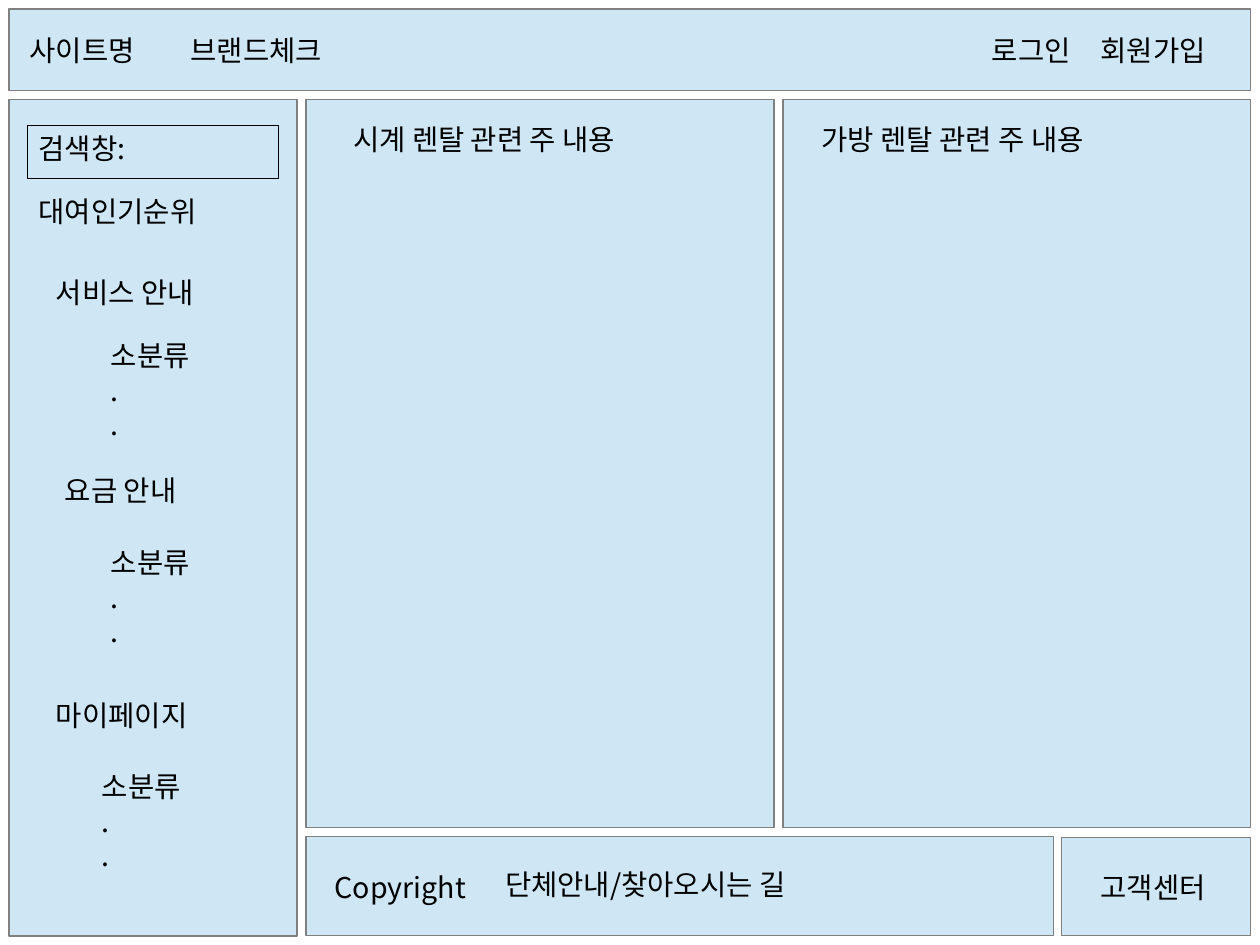
"""Build the wireframe slide of a rental site."""
from dataclasses import dataclass

from lxml.etree import SubElement
from pptx import Presentation
from pptx.dml.color import RGBColor
from pptx.enum.shapes import MSO_SHAPE as SHAPE
from pptx.enum.text import MSO_ANCHOR, MSO_AUTO_SIZE, PP_ALIGN
from pptx.oxml.ns import qn
from pptx.util import Inches, Pt

SITE_NAME = ("사이트명", 0.16, 0.24, 1.57)
SEARCH = ("검색창:", 0.24, 1.1, 2.2)
LABELS = [
    ("브랜드체크", 1.57, 0.24, 1.5),
    ("로그인", 8.58, 0.24, 1.02),
    ("회원가입", 9.53, 0.24, 1.26),
    ("대여인기순위", 0.24, 1.65, 2.2),
    ("서비스 안내", 0.39, 2.36, 1.81),
    ("요금 안내", 0.47, 4.09, 1.34),
    ("마이페이지", 0.39, 6.06, 1.81),
    ("시계 렌탈 관련 주 내용", 2.99, 1.02, 3.62),
    ("가방 렌탈 관련 주 내용", 7.09, 1.02, 3.62),
    ("Copyright", 2.83, 7.56, 1.89),
    ("단체안내/찾아오시는 길", 4.32, 7.54, 2.91),
    ("고객센터", 9.53, 7.56, 1.34),
]
SUBMENU = ["소분류", ".", "."]
SUBMENU_SPOTS = [(0.87, 2.91), (0.87, 4.72), (0.79, 6.68)]
SUBMENU_W, SUBMENU_H, LABEL_H = 1.26, 1.14, 0.46

CM_PER_INCH = 2.54
SLIDE_W, SLIDE_H = 28 / CM_PER_INCH, 21 / CM_PER_INCH
GAP = 0.2 / CM_PER_INCH
HEADER_H, FOOTER_H = 0.71, 0.87
SIDEBAR_W, COPYRIGHT_W, SUPPORT_W = 2.52, 6.54, 1.66


@dataclass(frozen=True)
class Theme:
    panel: RGBColor = RGBColor(0xCF, 0xE7, 0xF5)
    border: RGBColor = RGBColor(0x80, 0x80, 0x80)
    ink: RGBColor = RGBColor(0, 0, 0)
    font: str = "Noto Sans CJK KR"
    size: Pt = Pt(18)


THEME = Theme()


def panel_boxes():
    right, bottom = SLIDE_W - GAP, SLIDE_H - GAP
    top = HEADER_H + 2 * GAP
    main_x = SIDEBAR_W + 2 * GAP
    main_w = (right - main_x - GAP) / 2
    footer_y = bottom - FOOTER_H
    main_h = footer_y - GAP - top
    return [
        (GAP, GAP, right - GAP, HEADER_H),
        (GAP, top, SIDEBAR_W, bottom - top),
        (main_x + main_w + GAP, top, main_w, main_h),
        (main_x, top, main_w, main_h),
        (main_x, footer_y, COPYRIGHT_W, FOOTER_H),
        (right - SUPPORT_W, footer_y + 0.01, SUPPORT_W, FOOTER_H - 0.01),
    ]


def add_box(slide, box, line, fill=None):
    s = slide.shapes.add_shape(SHAPE.RECTANGLE, *map(Inches, box))
    s.shadow.inherit = False
    if fill is None:
        s.fill.background()
    else:
        s.fill.solid()
        s.fill.fore_color.rgb = fill
    s.line.color.rgb = line
    s.line.width = Pt(0)
    return s


def write(s, lines):
    tf = s.text_frame
    tf.word_wrap = True
    tf.auto_size = MSO_AUTO_SIZE.SHAPE_TO_FIT_TEXT
    tf.vertical_anchor = MSO_ANCHOR.TOP
    for i, text in enumerate(lines):
        p = tf.add_paragraph() if i else tf.paragraphs[0]
        p.alignment = PP_ALIGN.LEFT
        p.space_before = Pt(0)
        pPr = p._p.get_or_add_pPr()
        pPr.set("marL", "0")
        pPr.set("indent", "0")
        SubElement(pPr, qn("a:buNone"))
        r = p.add_run()
        r.text = text
        r.font.size = THEME.size
        r.font.bold = False
        r.font.color.rgb = THEME.ink
        r.font.name = THEME.font
        rPr = r._r.get_or_add_rPr()
        rPr.set("kern", "0")
        SubElement(rPr, qn("a:ea")).set("typeface", THEME.font)


def fill_placeholder(slide, s, box, lines):
    s.left, s.top, s.width, s.height = map(Inches, box)
    slide.shapes._spTree.append(s._element)
    write(s, lines)


def main():
    prs = Presentation()
    prs.slide_width = Inches(SLIDE_W)
    prs.slide_height = Inches(SLIDE_H)
    slide = prs.slides.add_slide(prs.slide_layouts.get_by_name("Comparison"))
    title, *bodies = list(slide.placeholders)

    for box in panel_boxes():
        add_box(slide, box, THEME.border, THEME.panel)

    text, *spot = SITE_NAME
    fill_placeholder(slide, title, (*spot, LABEL_H), [text])
    text, *spot = SEARCH
    write(add_box(slide, (*spot, LABEL_H), THEME.ink), [text])
    for text, *spot in LABELS:
        s = slide.shapes.add_textbox(*map(Inches, (*spot, LABEL_H)))
        write(s, [text])

    for s, spot in zip(bodies, SUBMENU_SPOTS):
        fill_placeholder(slide, s, (*spot, SUBMENU_W, SUBMENU_H), SUBMENU)
    for s in bodies[len(SUBMENU_SPOTS):]:
        s._element.getparent().remove(s._element)

    prs.save("out.pptx")


if __name__ == "__main__":
    main()
